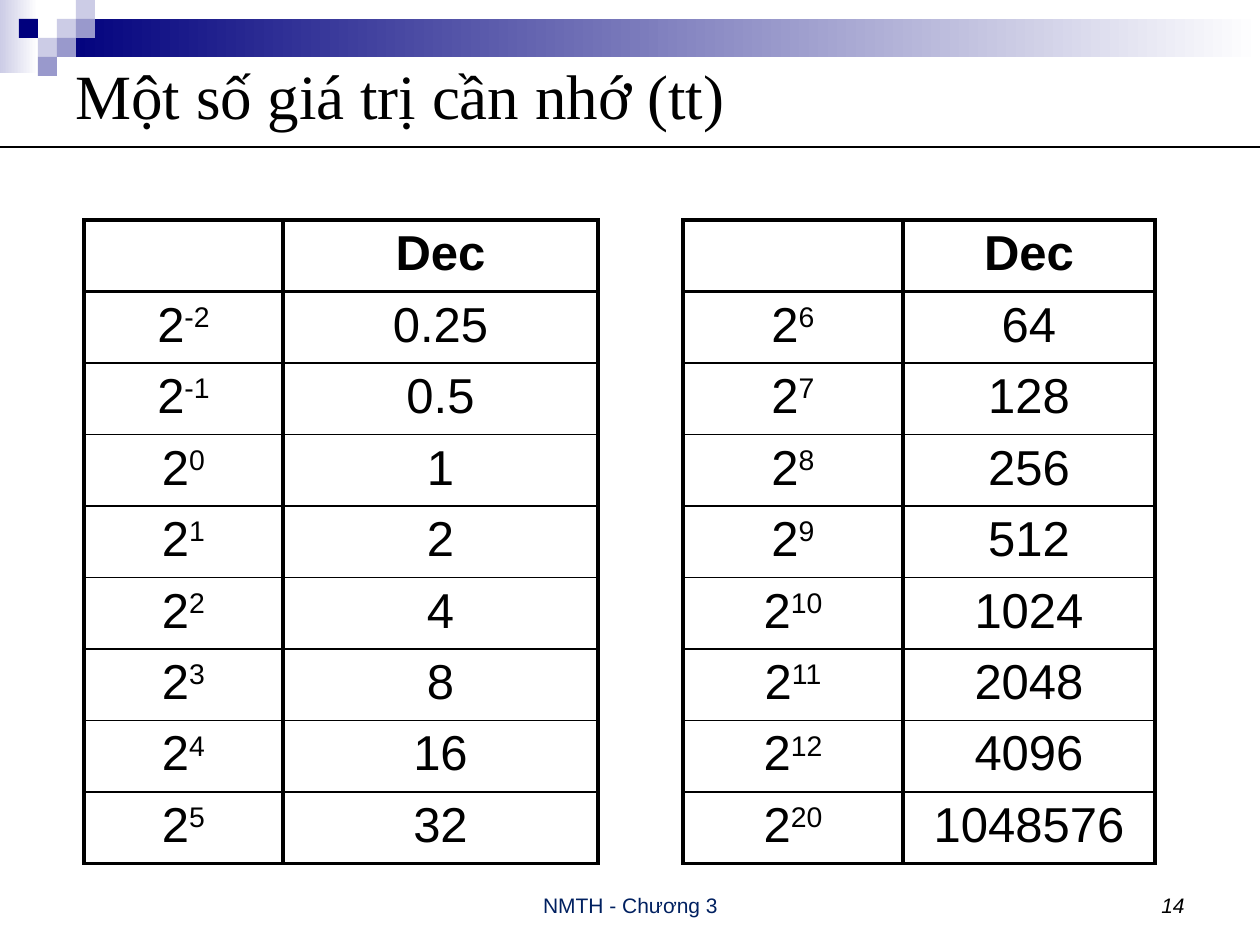
from lxml import etree
from pptx import Presentation
from pptx import util as u
from pptx.dml.color import RGBColor
from pptx.enum import shapes, text
from pptx.oxml import ns

EMU_PER_PX = 914400 / 126
NAVY = RGBColor(0x00, 0x00, 0x7D)
LILAC = RGBColor(0xCC, 0xCC, 0xE6)
PERIWINKLE = RGBColor(0x99, 0x99, 0xCC)
FOOTER_BLUE = RGBColor(0x00, 0x20, 0x60)
BLACK = RGBColor(0, 0, 0)
WHITE = RGBColor(0xFF, 0xFF, 0xFF)
THICK, THIN = 2.25, 1

LEFT_ROWS = [("-2", "0.25"), ("-1", "0.5"), ("0", "1"), ("1", "2"),
             ("2", "4"), ("3", "8"), ("4", "16"), ("5", "32")]
RIGHT_ROWS = [("6", "64"), ("7", "128"), ("8", "256"), ("9", "512"),
              ("10", "1024"), ("11", "2048"), ("12", "4096"), ("20", "1048576")]


def px(*lengths):
    return [u.Emu(round(length * EMU_PER_PX)) for length in lengths]


def add_rectangle(slide, box, color, fade_to=None):
    """Add a borderless rectangle, fading left to right if fade_to is given."""
    shape = slide.shapes.add_shape(shapes.MSO_SHAPE.RECTANGLE, *px(*box))
    shape.shadow.inherit = False
    shape.line.fill.background()
    if fade_to is None:
        shape.fill.solid()
        shape.fill.fore_color.rgb = color
        return
    shape.fill.gradient()
    shape.fill.gradient_angle = 0
    for stop, stop_color in zip(shape.fill.gradient_stops, (color, fade_to)):
        stop.color.rgb = stop_color


def add_banner(slide, box):
    left, top, width, height = box
    unit = height // 4
    add_rectangle(slide, (left, top, 2 * unit, height - 3), LILAC, WHITE)
    add_rectangle(slide, (left + 3 * unit, top + unit, width - 3 * unit, 2 * unit),
                  NAVY, WHITE)
    squares = [(3, 1, LILAC), (4, 0, LILAC), (4, 1, PERIWINKLE), (2, 2, LILAC),
               (1, 1, NAVY), (3, 2, PERIWINKLE), (2, 3, PERIWINKLE)]
    for column, row, color in squares:
        add_rectangle(slide, (left + column * unit, top + row * unit, unit, unit), color)


def add_text(slide, box, content, size, font_name="Arial", color=BLACK,
             align=text.PP_ALIGN.LEFT, anchor=text.MSO_ANCHOR.BOTTOM, italic=False):
    frame = slide.shapes.add_textbox(*px(*box)).text_frame
    frame.word_wrap = True
    frame.vertical_anchor = anchor
    paragraph = frame.paragraphs[0]
    paragraph.text = content
    paragraph.alignment = align
    font = paragraph.font
    font.name, font.size, font.italic = font_name, u.Pt(size), italic
    font.color.rgb = color


def add_rule(slide, left, top, width):
    line = slide.shapes.add_connector(shapes.MSO_CONNECTOR.STRAIGHT,
                                      *px(left, top, left + width, top))
    line.line.color.rgb = BLACK
    line.line.width = u.Pt(0.75)
    etree.SubElement(line._element.spPr, ns.qn("a:effectLst"))


def set_borders(cell, top, bottom):
    """Draw thick sides, with the given top and bottom widths in points."""
    properties = cell._tc.get_or_add_tcPr()
    for side, width in (("L", THICK), ("R", THICK), ("T", top), ("B", bottom)):
        border = etree.SubElement(properties, ns.qn(f"a:ln{side}"), w=str(u.Pt(width)))
        fill = etree.SubElement(border, ns.qn("a:solidFill"))
        etree.SubElement(fill, ns.qn("a:srgbClr"), val=str(BLACK))


def fill_cell(cell, base, exponent="", bold=False):
    paragraph = cell.text_frame.paragraphs[0]
    paragraph.alignment = text.PP_ALIGN.CENTER
    font = paragraph.font
    font.name, font.size, font.bold = "Arial", u.Pt(28), bold
    font.color.rgb = BLACK
    paragraph.add_run().text = base
    if exponent:
        superscript = paragraph.add_run()
        superscript.text = exponent
        superscript.font._element.set("baseline", "30000")


def add_powers_table(slide, box, first_width, powers):
    left, top, width, height = box
    count = len(powers) + 1
    table = slide.shapes.add_table(count, 2, *px(*box)).table
    table.first_row = table.horz_banding = False
    table.columns[0].width, table.columns[1].width = px(first_width, width - first_width)
    for index, row in enumerate(table.rows):
        row.height, = px(height / count)
        for cell in row.cells:
            set_borders(cell, THICK if index < 2 else THIN,
                        THICK if index in (0, count - 1) else THIN)
            cell.fill.background()
    fill_cell(table.cell(0, 1), "Dec", bold=True)
    for index, (exponent, value) in enumerate(powers, start=1):
        fill_cell(table.cell(index, 0), "2", exponent)
        fill_cell(table.cell(index, 1), value)


def add_footer(slide, top, height):
    add_text(slide, (431, top, 399, height), "NMTH - Chương 3", 12,
             color=FOOTER_BLUE, align=text.PP_ALIGN.CENTER)
    add_text(slide, (903, top, 294, height), "14", 12,
             align=text.PP_ALIGN.RIGHT, italic=True)


def main():
    presentation = Presentation()
    presentation.slide_width, presentation.slide_height = px(1260, 945)
    slide = presentation.slides.add_slide(presentation.slide_layouts[6])
    add_banner(slide, (0, 0, 1260, 76))
    add_text(slide, (63, 63, 1134, 63), "Một số giá trị cần nhớ (tt)", 36,
             "Times New Roman", anchor=text.MSO_ANCHOR.MIDDLE)
    add_powers_table(slide, (84, 220, 514, 643), 199, LEFT_ROWS)
    add_powers_table(slide, (683, 220, 472, 643), 220, RIGHT_ROWS)
    add_rule(slide, 0, 147, 1260)
    add_footer(slide, 861, 63)
    presentation.save("out.pptx")


if __name__ == "__main__":
    main()
